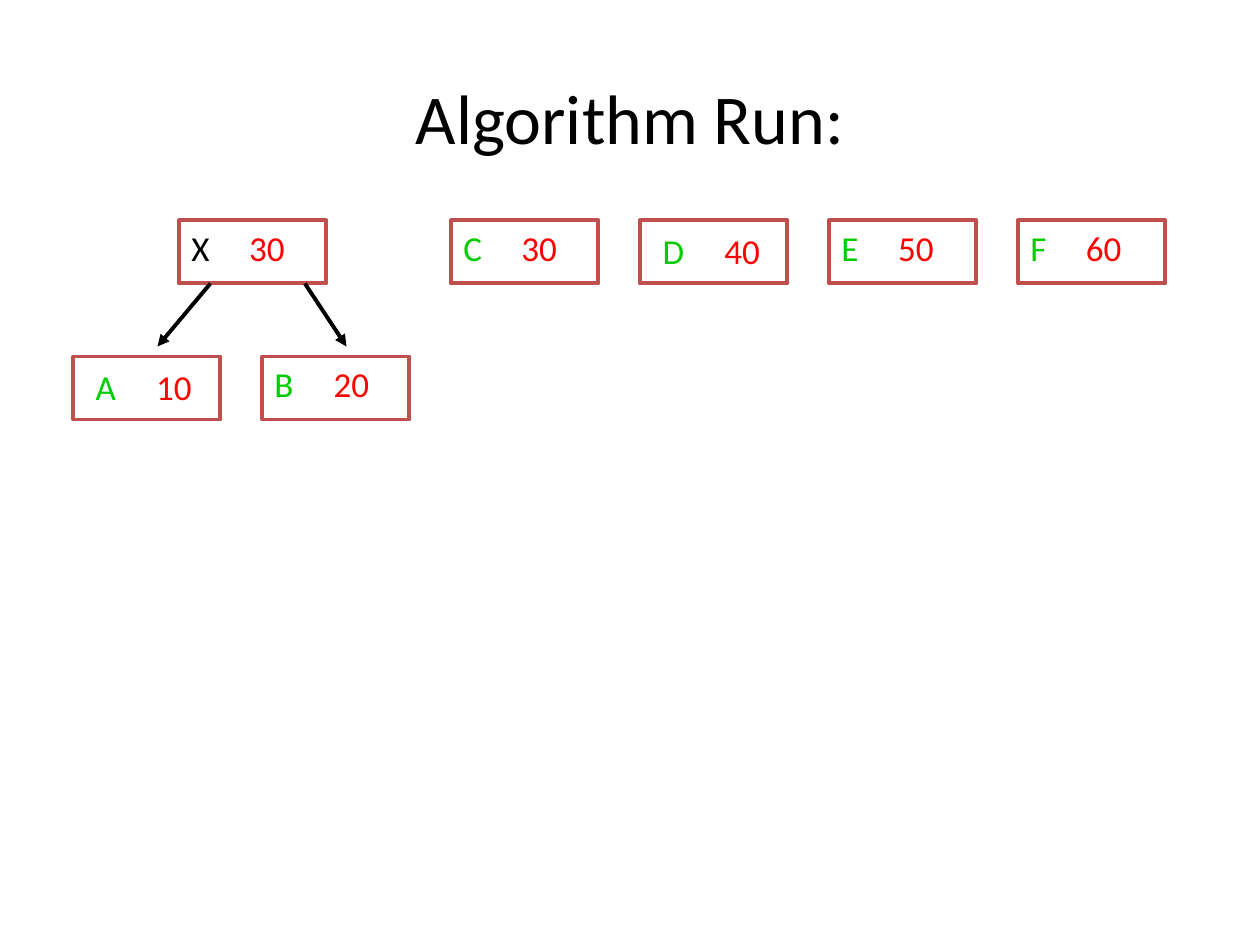
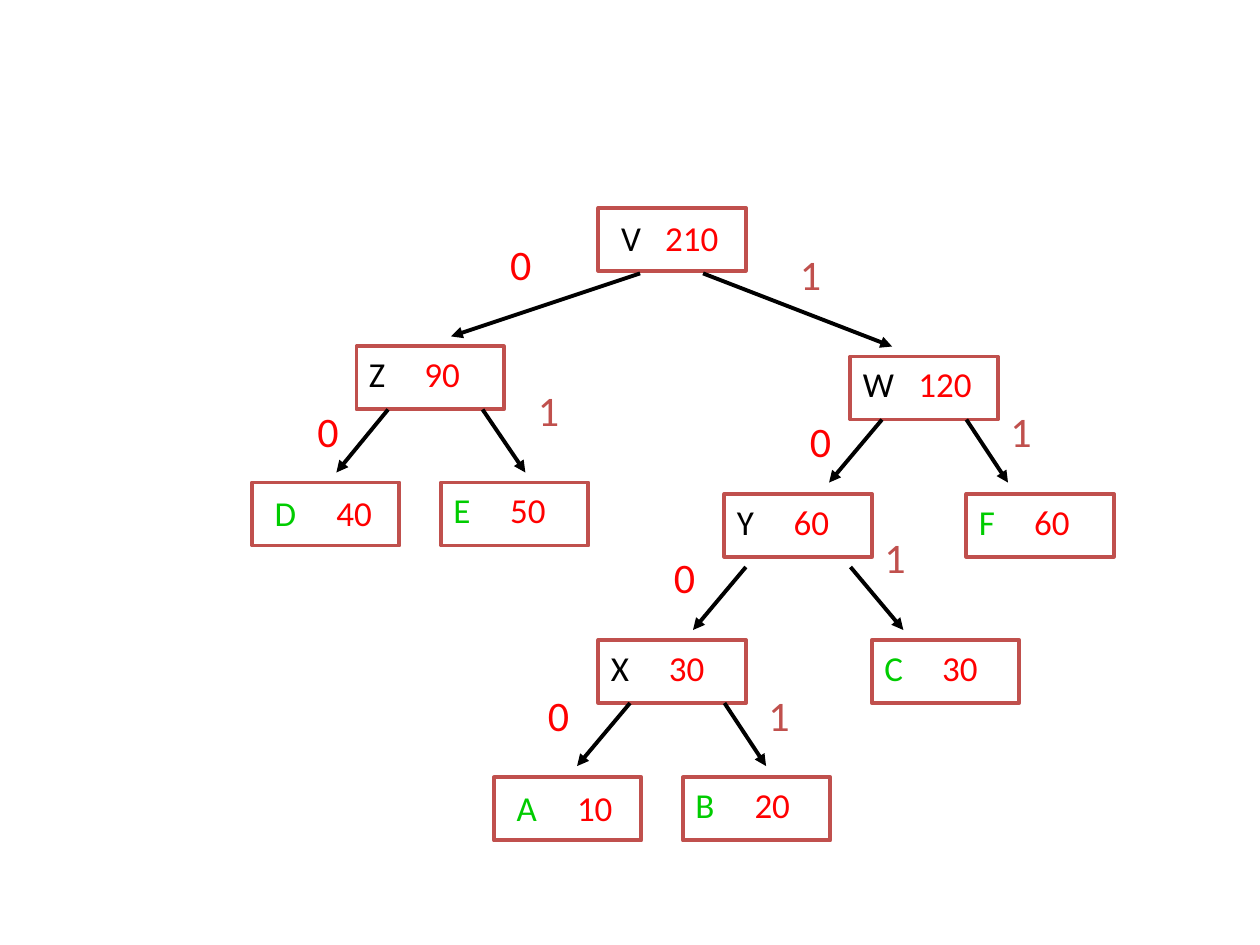
"""Build two slides that show a run of the Huffman tree algorithm."""
from lxml import etree
from pptx import Presentation
from pptx.dml.color import RGBColor
from pptx.enum.shapes import MSO_CONNECTOR, MSO_SHAPE
from pptx.enum.text import MSO_ANCHOR, PP_ALIGN
from pptx.oxml.ns import qn
from pptx.util import Inches, Pt

RECT, LINE = MSO_SHAPE.RECTANGLE, MSO_CONNECTOR.STRAIGHT
TOP, MIDDLE = MSO_ANCHOR.TOP, MSO_ANCHOR.MIDDLE
LEFT, CENTER = PP_ALIGN.LEFT, PP_ALIGN.CENTER
BLACK = RGBColor(0x00, 0x00, 0x00)
GREEN = RGBColor(0x00, 0xCC, 0x00)
RED = RGBColor(0xFF, 0x00, 0x00)
BRICK = RGBColor(0xC0, 0x50, 0x4D)
FONT = "Calibri"
WIDTH, HEIGHT, STROKE = 1.17, 0.5, Pt(2.25)
LEAVES = "ABCDEF"
SHIFTED = "ADV"
TABS = {"A": 0.48, "B": 0.47, "C": 0.46, "D": 0.49, "E": 0.45, "F": 0.44,
        "X": 0.46, "Y": 0.45, "Z": 0.44, "V": 0.35, "W": 0.44}

RUN_NODES = [("A", 10, 0.58, 2.83), ("B", 20, 2.08, 2.83), ("X", 30, 1.42, 1.75)]
RUN_NODES += [(name, 30 + 10 * i, 3.58 + 1.5 * i, 1.75) for i, name in enumerate("CDEF")]
RUN_EDGES = [(1.67, 2.25, 1.25, 2.75), (2.42, 2.25, 2.75, 2.75)]

TREE_NODES = [
    ("V", 210, 4.75, 1.65),
    ("Z", 90, 2.83, 2.75), ("W", 120, 6.75, 2.83),
    ("D", 40, 2, 3.83), ("E", 50, 3.5, 3.83),
    ("Y", 60, 5.75, 3.92), ("F", 60, 7.67, 3.92),
    ("X", 30, 4.75, 5.08), ("C", 30, 6.92, 5.08),
    ("A", 10, 3.92, 6.17), ("B", 20, 5.42, 6.17),
]
TREE_EDGES = [
    (5.08, 2.17, 3.58, 2.67), (5.58, 2.17, 7.08, 2.75),
    (3.08, 3.25, 2.67, 3.75), (3.83, 3.25, 4.17, 3.75),
    (7, 3.33, 6.58, 3.83), (7.67, 3.33, 8, 3.83),
    (5.92, 4.5, 5.5, 5), (6.75, 4.5, 7.17, 5),
    (5, 5.58, 4.58, 6.08), (5.75, 5.58, 6.08, 6.08),
]
BITS = [
    ("0", RED, [(3.95, 1.84), (2.42, 3.17), (6.33, 3.25), (5.25, 4.33), (4.25, 5.42)]),
    ("1", BRICK, [(6.25, 1.92), (4.17, 3), (7.92, 3.17), (6.92, 4.17), (6, 5.42)]),
]


def draw_tree(slide, nodes, edges):
    for name, count, x, y in nodes:
        box = slide.shapes.add_shape(RECT, Inches(x), Inches(y), Inches(WIDTH), Inches(HEIGHT))
        box.shadow.inherit = False
        box.fill.background()
        box.line.color.rgb = BRICK
        box.line.width = STROKE
        frame = box.text_frame
        frame.vertical_anchor = TOP
        shifted = name in SHIFTED
        frame.margin_left = Inches(0.18 if shifted else 0.1)
        frame.margin_top = Inches(0.07 if shifted else 0.05)
        frame.margin_right = 0
        para = frame.paragraphs[0]
        para.alignment = LEFT
        tabs = etree.SubElement(para._p.get_or_add_pPr(), qn("a:tabLst"))
        etree.SubElement(tabs, qn("a:tab"), pos=str(Inches(TABS[name])), algn="l")
        para.font.name = FONT
        para.font.size = Pt(20)
        for text, color in ((name + "\t", GREEN if name in LEAVES else BLACK), (str(count), RED)):
            run = para.add_run()
            run.text = text
            run.font.color.rgb = color
    for ends in edges:
        arrow = slide.shapes.add_connector(LINE, *map(Inches, ends))
        arrow.line.color.rgb = BLACK
        arrow.line.width = STROKE
        etree.SubElement(arrow.line._get_or_add_ln(), qn("a:tailEnd"), type="triangle")
        etree.SubElement(arrow._element.spPr, qn("a:effectLst"))


def add_label(slide, text, place, size, color, align=LEFT):
    label = slide.shapes.add_textbox(*map(Inches, place))
    frame = label.text_frame
    frame.word_wrap = True
    frame.vertical_anchor = MIDDLE
    para = frame.paragraphs[0]
    para.text = text
    para.alignment = align
    para.font.name = FONT
    para.font.size = Pt(size)
    para.font.color.rgb = color


deck = Presentation()
deck.slide_width, deck.slide_height = Inches(10), Inches(7.5)
blank = deck.slide_layouts[6]

start = deck.slides.add_slide(blank)
add_label(start, "Algorithm Run:", (0.5, 0.3, 9, 1.25), 40, BLACK, CENTER)
draw_tree(start, RUN_NODES, RUN_EDGES)

final = deck.slides.add_slide(blank)
draw_tree(final, TREE_NODES, TREE_EDGES)
for bit, color, spots in BITS:
    for x, y in spots:
        add_label(final, bit, (x, y, 0.39, 0.5), 24, color)

deck.save("out.pptx")
